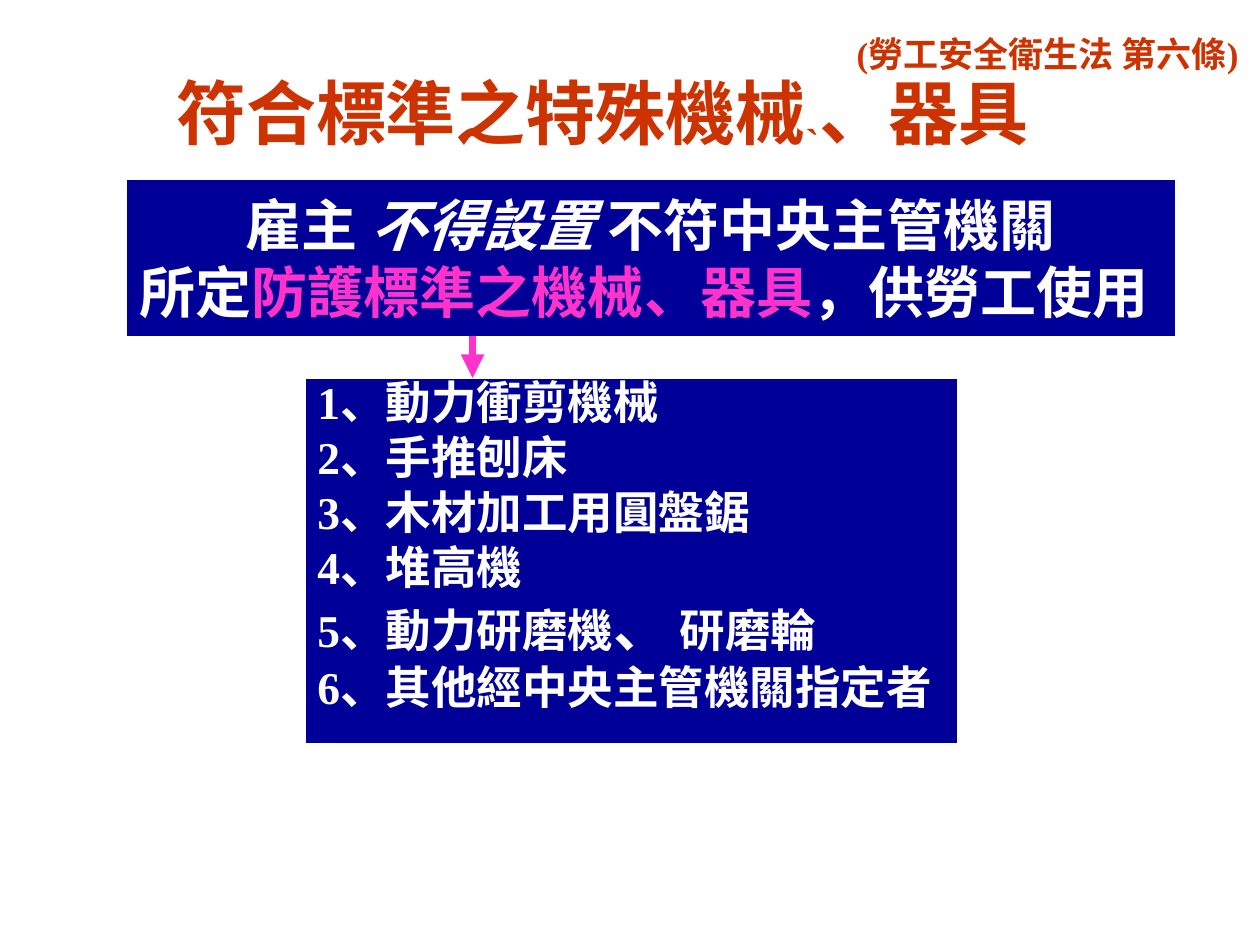
"""Build the slide on machines and tools that must meet protection standards."""
import pptx
import pptx.dml.color
import pptx.enum.shapes
import pptx.enum.text
import pptx.oxml.ns
import pptx.util
from lxml import etree
from pptx.util import Inches

COLORS = {"navy": "000099", "white": "FFFFFF", "rust": "CC3300", "pink": "FF33CC"}
FONT = "Times New Roman"
ANCHOR = pptx.enum.text.MSO_ANCHOR
ALIGN = pptx.enum.text.PP_ALIGN


def rgb(name):
    return pptx.dml.color.RGBColor.from_string(COLORS[name])


def add_run(paragraph, text, size, color, italic=False, baseline=None):
    run = paragraph.add_run()
    run.text = text
    run.font.name = FONT
    run.font.size = pptx.util.Pt(size)
    run.font.bold = True
    run.font.italic = italic
    run.font.color.rgb = rgb(color)
    if baseline is not None:
        run.font._element.set("baseline", str(baseline))


def fill_text(shape, paragraphs, size, color, align=ALIGN.LEFT,
              anchor=ANCHOR.TOP, wrap=True, line_spacing=None, space_before=0):
    frame = shape.text_frame
    frame.word_wrap = wrap
    frame.vertical_anchor = anchor
    for index, runs in enumerate(paragraphs):
        paragraph = frame.add_paragraph() if index else frame.paragraphs[0]
        paragraph.alignment = align
        if line_spacing:
            paragraph.line_spacing = line_spacing
        paragraph.space_before = pptx.util.Pt(space_before if index else 0)
        for text, changes in runs:
            add_run(paragraph, text, **{"size": size, "color": color, **changes})


def add_text(slide, left, top, width, height, paragraphs, size, color, **options):
    box = slide.shapes.add_textbox(
        Inches(left), Inches(top), Inches(width), Inches(height))
    fill_text(box, paragraphs, size, color, **options)


def add_panel(slide, left, top, width, height, paragraphs, size, **options):
    panel = slide.shapes.add_shape(
        pptx.enum.shapes.MSO_SHAPE.RECTANGLE,
        Inches(left), Inches(top), Inches(width), Inches(height))
    panel.shadow.inherit = False
    panel.fill.solid()
    panel.fill.fore_color.rgb = rgb("navy")
    panel.line.color.rgb = rgb("white")
    panel.line.width = pptx.util.Pt(0.75)
    fill_text(panel, paragraphs, size, "white", **options)


def add_arrow(slide, x, top, bottom):
    arrow = slide.shapes.add_connector(
        pptx.enum.shapes.MSO_CONNECTOR.STRAIGHT,
        Inches(x), Inches(top), Inches(x), Inches(bottom))
    arrow.line.color.rgb = rgb("pink")
    arrow.line.width = pptx.util.Pt(4.5)
    tag = pptx.oxml.ns.qn
    etree.SubElement(arrow.line._get_or_add_ln(), tag("a:tailEnd"), type="triangle")
    etree.SubElement(arrow._element.spPr, tag("a:effectLst"))


def main():
    presentation = pptx.Presentation()
    presentation.slide_width = Inches(10)
    presentation.slide_height = Inches(7.5)
    slide = presentation.slides.add_slide(presentation.slide_layouts[6])

    title = [("符合標準之特殊機械", {}), ("`", {"baseline": -25000}), ("、器具", {})]
    add_text(slide, 1.3, 0.5, 7.8, 0.86, [title], 40, "rust", anchor=ANCHOR.BOTTOM)

    machines = [
        [("1、動力衝剪機械", {})],
        [("2、手推刨床", {})],
        [("3、木材加工用圓盤鋸", {})],
        [("4、堆高機", {})],
        [("5、動力研磨機", {}), ("、", {"size": 32}), (" 研磨輪", {})],
        [("6、其他經中央主管機關指定者", {})],
    ]
    add_panel(slide, 2.42, 3, 5.18, 2.9, machines, 26,
              line_spacing=0.8, space_before=6.5)

    rule = [
        [("雇主 ", {}), ("不得設置 ", {"italic": True}), ("不符中央主管機關", {})],
        [("所定", {}), ("防護標準之機械、器具", {"color": "pink"}), ("，供勞工使用 ", {})],
    ]
    add_panel(slide, 1, 1.42, 8.33, 1.25, rule, 32,
              align=ALIGN.CENTER, anchor=ANCHOR.MIDDLE, wrap=False)

    add_arrow(slide, 3.75, 2.67, 3)
    add_text(slide, 6.7, 0.21, 3.37, 0.44,
             [[("(勞工安全衛生法 第六條)", {})]], 20, "rust", wrap=False)
    presentation.save("out.pptx")


if __name__ == "__main__":
    main()
